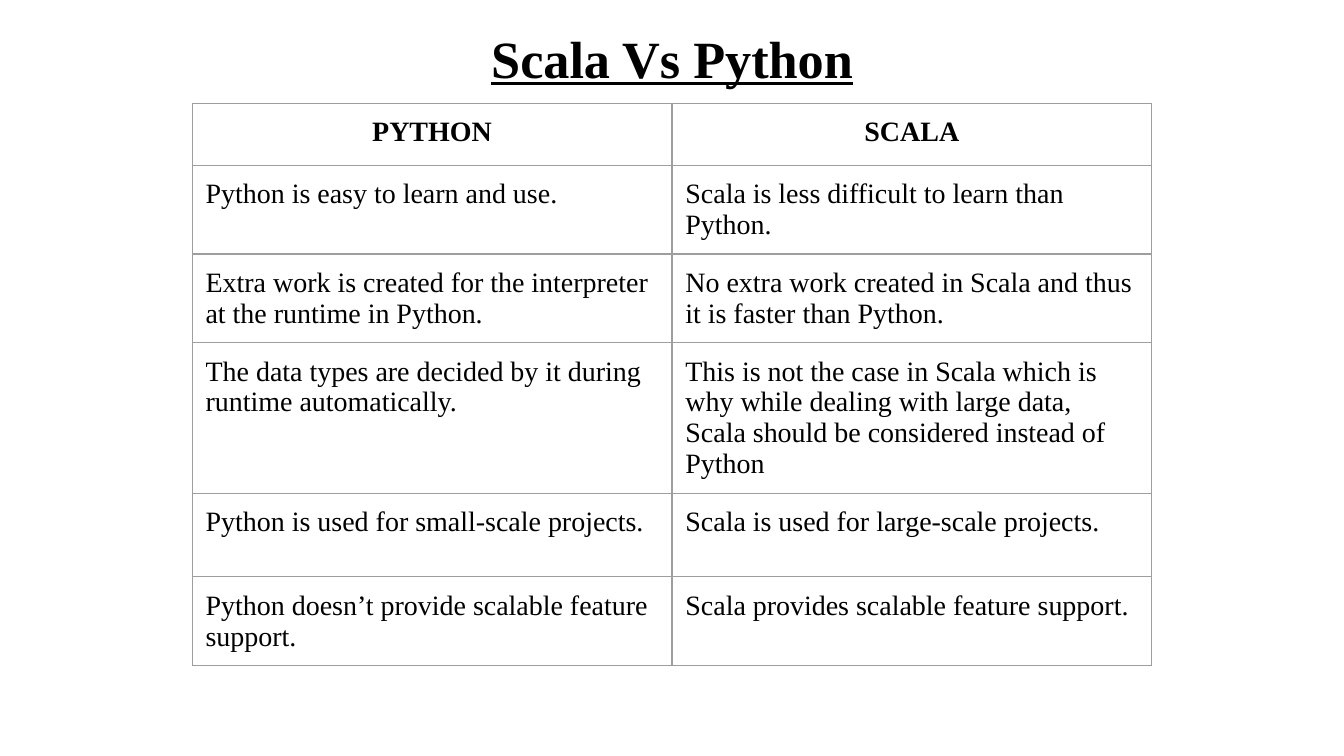
from lxml import etree
from pptx import Presentation
from pptx.dml.color import RGBColor
from pptx.enum.text import MSO_ANCHOR, PP_ALIGN
from pptx.oxml.ns import qn
from pptx.util import Inches, Pt

CENTER, LEFT = PP_ALIGN.CENTER, PP_ALIGN.LEFT
MIDDLE, TOP = MSO_ANCHOR.MIDDLE, MSO_ANCHOR.TOP
FONT = "Times New Roman"
INK, BORDER = "000000", "9E9E9E"
WIDTH = Inches(10)
HEIGHT = WIDTH * 9 // 16
UNIT = WIDTH // 10
INSET = Inches(0.1)
TITLE_BOX = (0.34, 0.14, 9.32, 0.63)
TABLE_BOX = (1.43, 0.77, 7.14, 3.88)
ROW_HEIGHTS = [0.46, 0.62, 0.62, 1.05, 0.62, 0.51]
COMPARISON = [
    ("PYTHON", "SCALA"),
    ("Python is easy to learn and use.",
     "Scala is less difficult to learn than Python."),
    ("Extra work is created for the interpreter at the runtime in Python.",
     "No extra work created in Scala and thus it is faster than Python."),
    ("The data types are decided by it during runtime automatically.",
     "This is not the case in Scala which is why while dealing with large data, "
     "Scala should be considered instead of Python"),
    ("Python is used for small-scale projects.",
     "Scala is used for large-scale projects."),
    ("Python doesn’t provide scalable feature support.",
     "Scala provides scalable feature support."),
]


def color(value):
    return RGBColor.from_string(value)


def to_lengths(box):
    return [int(UNIT * share) for share in box]


def set_insets(target):
    target.margin_left = target.margin_right = INSET
    target.margin_top = target.margin_bottom = INSET


def write(paragraph, text, size, align, bold=False, underline=False):
    paragraph.alignment = align
    run = paragraph.add_run()
    run.text = text
    font = run.font
    font.name, font.size = FONT, Pt(size)
    font.bold, font.underline = bold, underline
    font.color.rgb = color(INK)


def add_borders(cell):
    properties = cell._tc.get_or_add_tcPr()
    for side in ("a:lnL", "a:lnR", "a:lnT", "a:lnB"):
        line = etree.SubElement(properties, qn(side), w=str(Pt(0.75)))
        fill = etree.SubElement(line, qn("a:solidFill"))
        etree.SubElement(fill, qn("a:srgbClr"), val=BORDER)


def place_title(slide, box, text):
    title = slide.shapes.title
    title.left, title.top, title.width, title.height = to_lengths(box)
    frame = title.text_frame
    frame.word_wrap = True
    frame.vertical_anchor = MIDDLE
    set_insets(frame)
    paragraph = frame.paragraphs[0]
    paragraph.line_spacing = 0.9
    write(paragraph, text, 28, CENTER, bold=True, underline=True)


def place_comparison(slide, box, rows):
    frame = slide.shapes.add_table(len(rows), len(rows[0]), *to_lengths(box))
    table = frame.table
    table.first_row = table.horz_banding = False
    for row, share in zip(table.rows, ROW_HEIGHTS):
        row.height = int(frame.height * share / sum(ROW_HEIGHTS))
    for row_index, texts in enumerate(rows):
        is_header = row_index == 0
        for column_index, text in enumerate(texts):
            cell = table.cell(row_index, column_index)
            set_insets(cell)
            cell.vertical_anchor = TOP
            add_borders(cell)
            cell.fill.background()
            write(cell.text_frame.paragraphs[0], text, 15,
                  CENTER if is_header else LEFT, bold=is_header)


def main():
    presentation = Presentation()
    presentation.slide_width, presentation.slide_height = WIDTH, HEIGHT
    slide = presentation.slides.add_slide(presentation.slide_layouts[5])
    place_title(slide, TITLE_BOX, "Scala Vs Python")
    place_comparison(slide, TABLE_BOX, COMPARISON)
    presentation.save("out.pptx")


if __name__ == "__main__":
    main()
